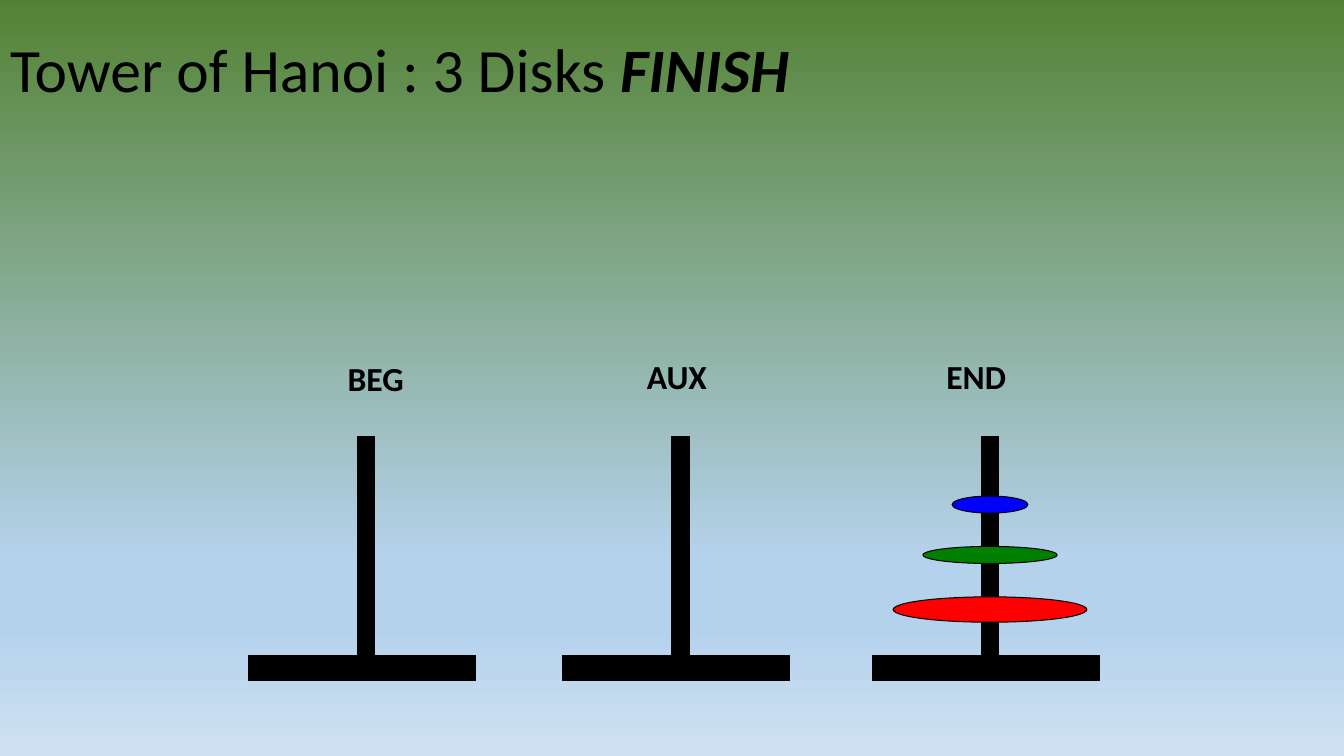
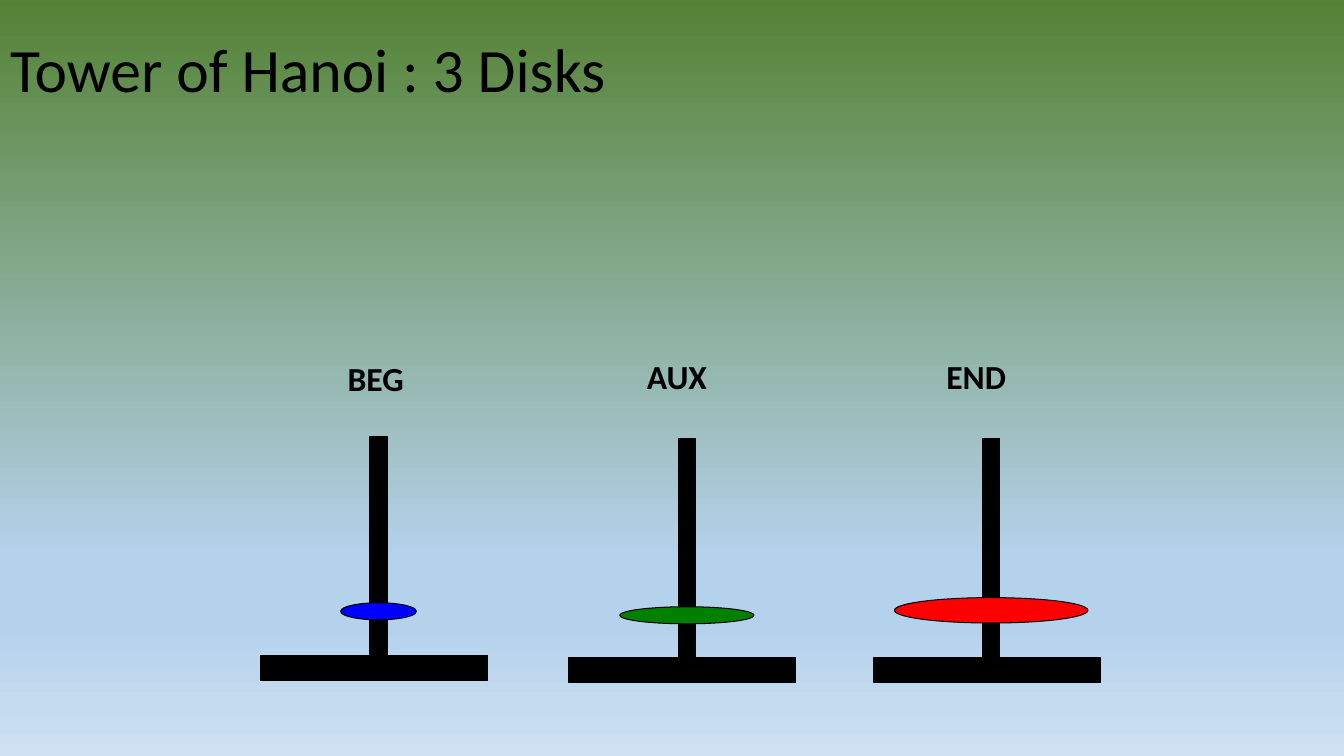
"""Build two Tower of Hanoi slides: the finished tower and one disk on each peg."""
from lxml.etree import SubElement
from pptx import Presentation
from pptx.dml.color import RGBColor
from pptx.enum.shapes import MSO_SHAPE as SHAPE
from pptx.enum.text import MSO_ANCHOR as ANCHOR, MSO_AUTO_SIZE as AUTO, PP_ALIGN as ALIGN
from pptx.oxml.ns import qn
from pptx.util import Cm, Pt

BLACK = "000000"
STOPS = [(0, "548235"), (74, "B5D2EC"), (83, "B5D2EC"), (100, "CEE1F2")]
LABELS = [("BEG", 8.51, 8.89, 1.96), ("AUX", 16.05, 8.84, 2.18), ("END", 23.6, 8.84, 2.34)]
BASE_W, BASE_H, PEG_W, PEG_H = 5.72, 0.64, 0.43, 5.51
BASE_SHIFT = 0.11
DISKS = {"red": (4.88, 0.64, "FF0000"), "green": (3.38, 0.43, "008000"), "blue": (1.91, 0.43, "0000FF")}
SLIDES = [
    ([("Tower of Hanoi : 3 Disks ", False), ("FINISH", True)],
     [(9.23, 16.51, []),
      (17.15, 16.51, []),
      (24.95, 16.51, [("red", 15.04), ("green", 13.77), ("blue", 12.5)])]),
    ([("Tower of Hanoi : 3 Disks", False)],
     [(9.54, 16.51, [("blue", 15.19)]),
      (17.31, 16.56, [("green", 15.29)]),
      (24.98, 16.56, [("red", 15.06)])]),
]


def add_text(p, text, size, bold=False, italic=False):
    r = p.add_run()
    r.text = text
    r.font.name, r.font.size = "Calibri", Pt(size)
    r.font.bold, r.font.italic = bold, italic
    r.font.color.rgb = RGBColor.from_string(BLACK)


def add_part(shapes, kind, center, top, width, height, color):
    sp = shapes.add_shape(kind, Cm(center - width / 2), Cm(top), Cm(width), Cm(height))
    sp.shadow.inherit = False
    sp.fill.solid()
    sp.fill.fore_color.rgb = RGBColor.from_string(color)
    sp.line.color.rgb = RGBColor.from_string(BLACK)
    sp.line.width = Pt(0.75)


prs = Presentation()
prs.slide_width, prs.slide_height = Cm(33.87), Cm(19.05)

master = prs.slide_master
fill = master.background.fill
fill.gradient()
fill.gradient_angle = 270
stops = master.element.find(".//" + qn("a:gsLst"))
stops.clear()
for pos, color in STOPS:
    gs = SubElement(stops, qn("a:gs"), pos=str(pos * 1000))
    SubElement(gs, qn("a:srgbClr"), val=color)

layout = prs.slide_layouts.get_by_name("Title Only")
title = layout.placeholders[0]
title.left, title.top, title.width, title.height = Cm(0), Cm(0), prs.slide_width, Cm(3.68)
title.text_frame.vertical_anchor = ANCHOR.MIDDLE

for runs, towers in SLIDES:
    s = prs.slides.add_slide(layout)
    p = s.shapes.title.text_frame.paragraphs[0]
    p.alignment, p.line_spacing = ALIGN.LEFT, 0.9
    for text, strong in runs:
        add_text(p, text, 44, bold=strong, italic=strong)

    for center, base_top, disks in towers:
        tower = s.shapes.add_group_shape().shapes
        add_part(tower, SHAPE.RECTANGLE, center - BASE_SHIFT, base_top, BASE_W, BASE_H, BLACK)
        add_part(tower, SHAPE.RECTANGLE, center, base_top - PEG_H, PEG_W, PEG_H, BLACK)
        for name, top in disks:
            width, height, color = DISKS[name]
            add_part(tower, SHAPE.OVAL, center, top, width, height, color)

    for text, left, top, width in LABELS:
        tf = s.shapes.add_textbox(Cm(left), Cm(top), Cm(width), Cm(1.27)).text_frame
        tf.word_wrap = False
        tf.auto_size = AUTO.SHAPE_TO_FIT_TEXT
        add_text(tf.paragraphs[0], text, 24, bold=True)

prs.save("out.pptx")
